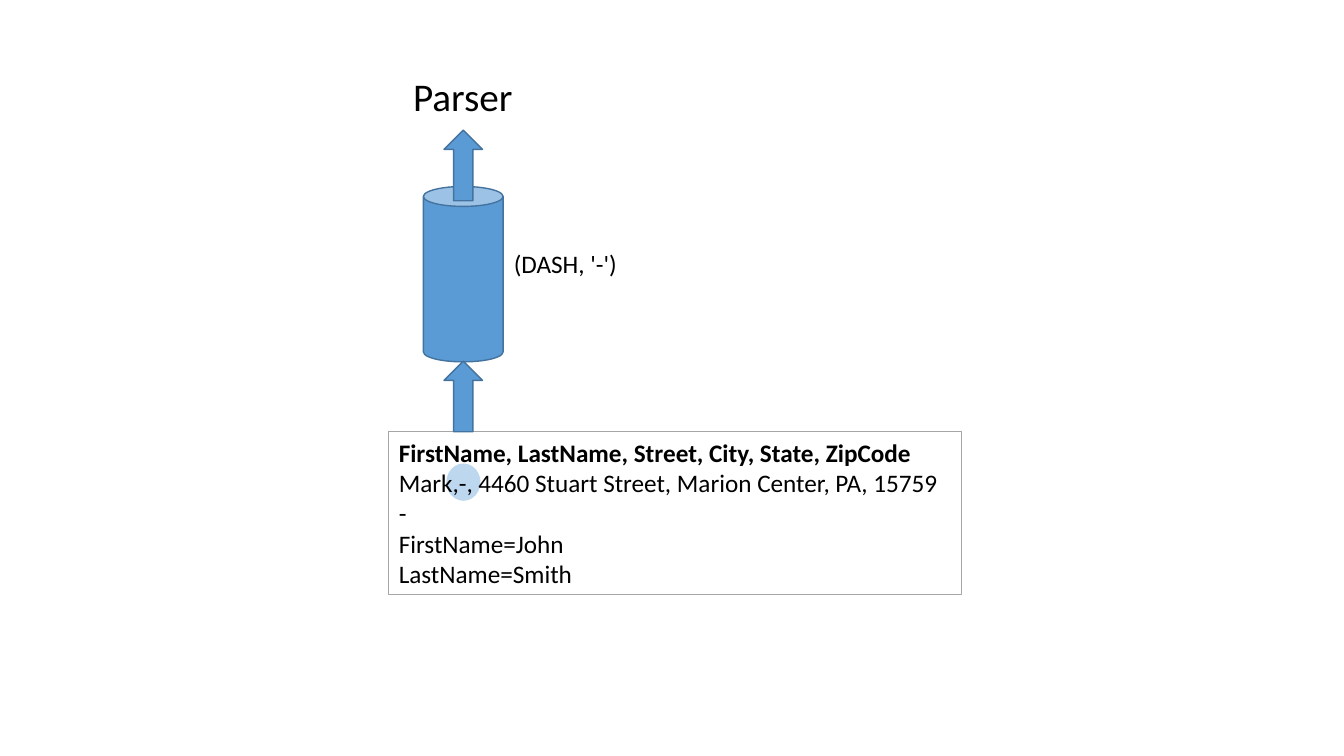
from dataclasses import dataclass

from pptx import Presentation
from pptx.dml.color import RGBColor
from pptx.enum.shapes import MSO_SHAPE
from pptx.enum.text import MSO_ANCHOR, PP_ALIGN
from pptx.util import Cm, Pt

CAN, ARROW = MSO_SHAPE.CAN, MSO_SHAPE.UP_ARROW
OVAL, RECT = MSO_SHAPE.OVAL, MSO_SHAPE.RECTANGLE
LEFT, MIDDLE = PP_ALIGN.LEFT, MSO_ANCHOR.MIDDLE


@dataclass(frozen=True)
class Theme:
    font: str = "Calibri"
    ink: str = "000000"
    blue: str = "5B9BD5"
    edge: str = "43739E"
    mark: str = "BDD7EE"
    frame: str = "A6A6A6"
    head: int = 28
    body: int = 18


THEME = Theme()
INPUT = [
    "FirstName, LastName, Street, City, State, ZipCode",
    "Mark,-, 4460 Stuart Street, Marion Center, PA, 15759",
    "-",
    "FirstName=John",
    "LastName=Smith",
]


def add_form(slide, kind, box, fill=None, line=None, weight=1):
    form = slide.shapes.add_shape(kind, *map(Cm, box))
    form.shadow.inherit = False
    if fill:
        form.fill.solid()
        form.fill.fore_color.rgb = RGBColor.from_string(fill)
    else:
        form.fill.background()
    if line:
        form.line.color.rgb = RGBColor.from_string(line)
        form.line.width = Pt(weight)
    else:
        form.line.fill.background()
    return form


def set_text(form, lines, size, wrap):
    frame = form.text_frame
    frame.text = "\n".join(lines)
    frame.word_wrap = wrap
    frame.vertical_anchor = MIDDLE
    for para in frame.paragraphs:
        para.alignment = LEFT
        for run in para.runs:
            run.font.name = THEME.font
            run.font.size = Pt(size)
            run.font.color.rgb = RGBColor.from_string(THEME.ink)
    return frame


def add_label(slide, text, box, size):
    label = slide.shapes.add_textbox(*map(Cm, box))
    set_text(label, [text], size, False)


def draw_input(slide, box):
    left, top, width, height = box
    # Highlight behind the current token
    add_form(slide, OVAL, (left + 1.45, top + 0.81, 0.86, 0.94), THEME.mark)
    # Framed lines with a bold header
    panel = add_form(slide, RECT, box, line=THEME.frame, weight=0.75)
    frame = set_text(panel, INPUT, THEME.body, True)
    frame.paragraphs[0].runs[0].font.bold = True


def draw_lexer(slide, box):
    left, top, width, height = box
    wide, tall = 0.97, 1.78
    side = left + (width - wide) / 2
    # Can, with an arrow in at its foot and one out at its top
    add_form(slide, CAN, box, THEME.blue, THEME.edge)
    for start in (top + height - 0.02, top - 1.42):
        add_form(slide, ARROW, (side, start, wide, tall),
                 THEME.blue, THEME.edge)
    # Token beside the can, consumer above it
    add_label(slide, "(DASH, '-')", (left + 2.03, top + 1.42, 3.15, 1.02),
              THEME.body)
    add_label(slide, "Parser", (left - 0.51, top - 3.02, 3.05, 1.45),
              THEME.head)


def main():
    deck = Presentation()
    deck.slide_width, deck.slide_height = Cm(33.87), Cm(19.05)
    slide = deck.slides.add_slide(deck.slide_layouts[6])
    draw_input(slide, (9.8, 10.87, 14.43, 4.11))
    draw_lexer(slide, (10.67, 4.7, 2.01, 4.42))
    deck.save("out.pptx")


if __name__ == "__main__":
    main()
